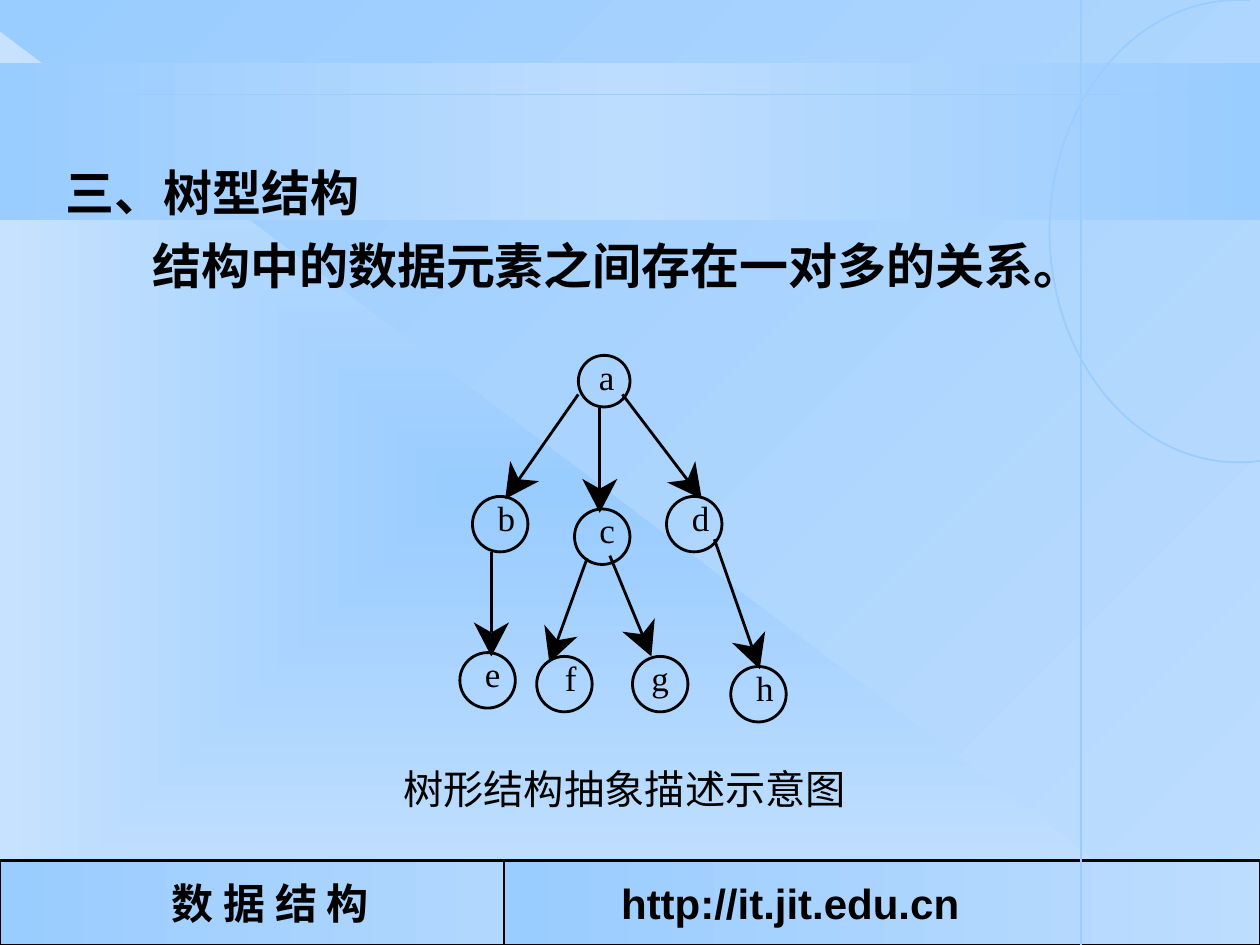
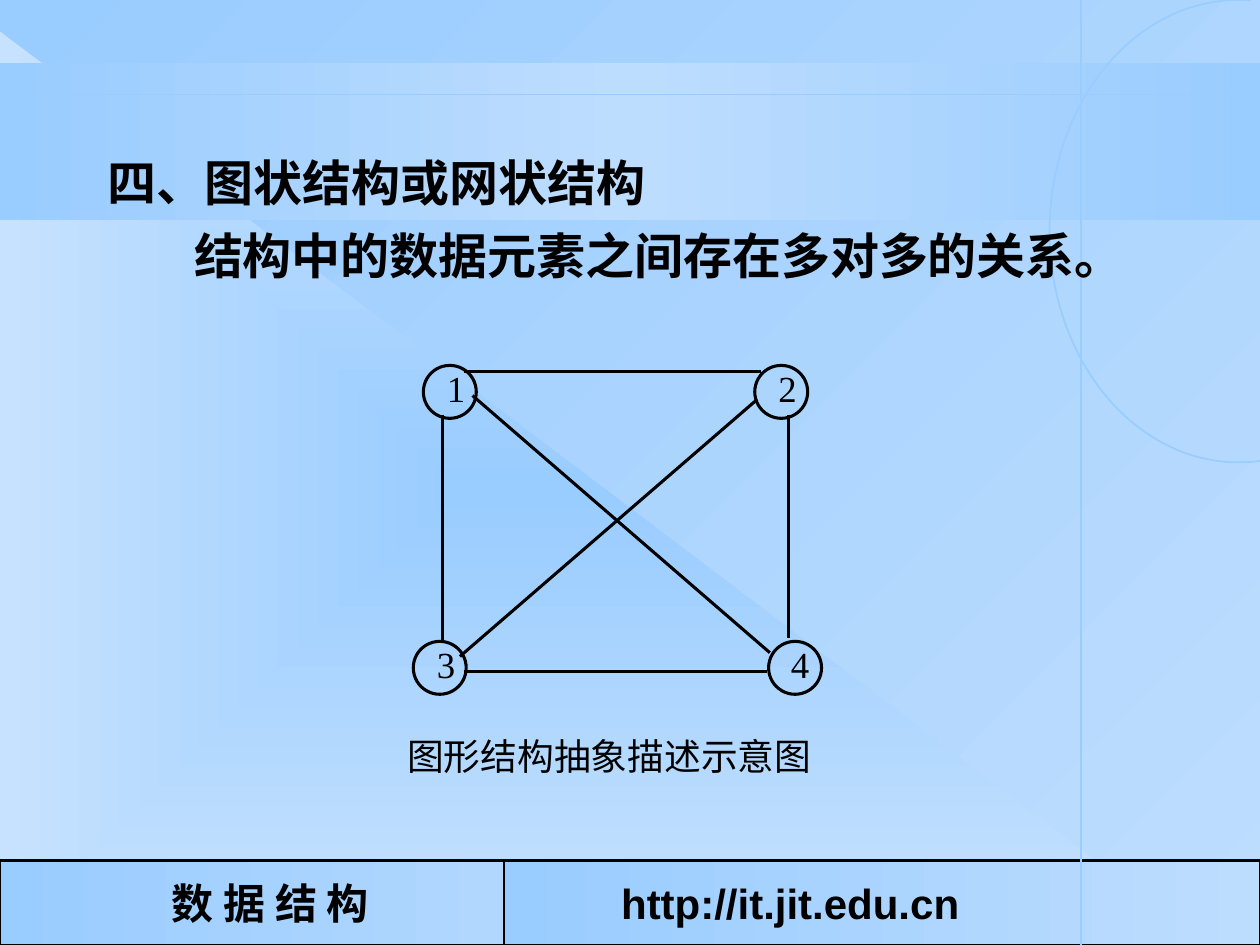
"""Builds two data structure slides: the tree and the graph."""
from dataclasses import dataclass
from math import hypot

from lxml.etree import SubElement
from pptx import Presentation
from pptx.dml.color import RGBColor
from pptx.enum.shapes import MSO_CONNECTOR, MSO_SHAPE
from pptx.enum.text import MSO_ANCHOR, MSO_AUTO_SIZE, PP_ALIGN
from pptx.oxml import parse_xml
from pptx.oxml.ns import nsdecls, qn
from pptx.util import Inches, Pt


@dataclass(frozen=True)
class Theme:
    ink: str = "000000"
    sky: str = "99CCFF"
    pale: str = "BDDDFE"
    mist: str = "B3D8FE"
    glow: str = "C7E2FE"
    serif: str = "Times New Roman"
    sans: str = "Arial"
    chinese: str = "Noto Sans CJK SC"
    heading: float = 28
    footer: float = 24


theme = Theme()
ACROSS = '<a:lin ang="0" scaled="0"/>'
DIAGONAL = '<a:lin ang="2700000" scaled="0"/>'
FROM_CENTRE = '<a:path path="rect"><a:fillToRect l="50000" t="50000" r="50000" b="50000"/></a:path>'
HEAD_LENGTH, HEAD_HALF_WIDTH, HEAD_NOTCH = 0.27, 0.14, 0.19


def write(shape, text, size, font=theme.serif, bold=False, align=PP_ALIGN.CENTER,
          margin=0.0, indent=0.0, wrap=False):
    frame = shape.text_frame
    frame.auto_size = MSO_AUTO_SIZE.NONE
    frame.word_wrap = wrap
    frame.vertical_anchor = MSO_ANCHOR.MIDDLE
    frame.margin_left = frame.margin_right = Inches(margin)
    frame.margin_top = frame.margin_bottom = 0
    paragraph = frame.paragraphs[0]
    paragraph.alignment = align
    paragraph.space_before = Pt(0)
    properties = paragraph._p.get_or_add_pPr()
    properties.set("marL", "0")
    properties.set("indent", str(Inches(indent)))
    SubElement(properties, qn("a:buNone"))
    run = paragraph.add_run()
    run.text = text
    run.font.size, run.font.bold, run.font.name = Pt(size), bold, font
    run.font.color.rgb = RGBColor.from_string(theme.ink)


def draw_line(shapes, start, end, colour, width):
    line = shapes.add_connector(MSO_CONNECTOR.STRAIGHT, *map(Inches, (*start, *end)))
    line.line.color.rgb = RGBColor.from_string(colour)
    line.line.width = Pt(width)
    SubElement(line._element.spPr, qn("a:effectLst"))


prs = Presentation()
prs.slide_width, prs.slide_height = Inches(10), Inches(7.5)
master = prs.slide_master
layout = prs.slide_layouts[1]
for placeholder in list(layout.placeholders)[2:]:
    placeholder.element.getparent().remove(placeholder.element)
slides = [prs.slides.add_slide(layout) for _ in range(2)]
decor = slides[0].shapes
own_count = len(decor)

master.background.fill.gradient()
gradients = [(master.element, (theme.sky, theme.pale), DIAGONAL)]
panels = [
    (MSO_SHAPE.RIGHT_TRIANGLE, (0, 0.25, 9.58, 7.25), (theme.sky, theme.glow), FROM_CENTRE),
    (MSO_SHAPE.RECTANGLE, (0, 0.5, 10, 1.25), (theme.sky, theme.pale, theme.sky), ACROSS),
    (MSO_SHAPE.RECTANGLE, (0, 6.83, 4.29, 0.67), (theme.sky, theme.mist), ACROSS),
    (MSO_SHAPE.RECTANGLE, (4, 6.83, 6, 0.67), (theme.sky, theme.pale), ACROSS),
]
for outline, area, colours, direction in panels:
    panel = decor.add_shape(outline, *map(Inches, area))
    panel.shadow.inherit = False
    panel.fill.gradient()
    panel.line.fill.background()
    gradients.append((panel._element, colours, direction))
for element, colours, direction in gradients:
    stops = "".join(
        f'<a:gs pos="{100000 * i // (len(colours) - 1)}"><a:srgbClr val="{colour}"/></a:gs>'
        for i, colour in enumerate(colours))
    plain = next(element.iter(qn("a:gradFill")))
    plain.getparent().replace(plain, parse_xml(
        f'<a:gradFill {nsdecls("a")} rotWithShape="1"><a:gsLst>{stops}</a:gsLst>{direction}</a:gradFill>'))

course, address = list(decor)[-2:]
for footer in (course, address):
    footer.line.color.rgb = RGBColor.from_string(theme.ink)
    footer.line.width = Pt(1.5)
write(course, "数 据 结 构", theme.footer, bold=True)
write(address, "http://it.jit.edu.cn", theme.footer, font=theme.sans, bold=True,
      align=PP_ALIGN.LEFT, margin=0.93, wrap=True)

draw_line(decor, (0, 0.75), (10, 0.75), theme.sky, 1)
draw_line(decor, (8.58, 0), (8.58, 7.5), theme.sky, 1.5)
arc = decor.add_shape(MSO_SHAPE.ARC, *map(Inches, (8.33, 0, 3, 3.67)))
arc.shadow.inherit = False
arc.adjustments[0], arc.adjustments[1] = 80 * 0.6, 273 * 0.6
arc.fill.background()
arc.line.color.rgb = RGBColor.from_string(theme.sky)
arc.line.width = Pt(1)
for position, part in enumerate(list(decor)[own_count:], start=2):
    layout.shapes._spTree.insert(position, part._element)

figures = [
    dict(
        title="三、树型结构", sentence="结构中的数据元素之间存在一对多的关系。",
        corner=(0.42, 1.23), width=9.17, caption="树形结构抽象描述示意图",
        caption_area=(3.2, 6.07, 3.52, 0.38), caption_size=23,
        label_size=20, label_height=0.33, stroke=1.62, directed=True,
        nodes=[("a", 4.59, 2.82, 0.41, 0.02), ("b", 3.75, 3.94, 0.44, 0.05),
               ("c", 4.56, 4.04, 0.44, 0.04), ("d", 5.29, 3.94, 0.44, 0.05),
               ("e", 3.65, 5.18, 0.44, 0.04), ("f", 4.26, 5.21, 0.44, 0.05),
               ("g", 5.02, 5.21, 0.44, 0), ("h", 5.8, 5.29, 0.44, 0.05)],
        edges=[((4.59, 3.13), (4.01, 3.96)), ((4.76, 3.24), (4.76, 4.07)),
               ((4.94, 3.13), (5.57, 3.96)), ((3.9, 4.38), (3.9, 5.21)),
               ((4.66, 4.43), (4.36, 5.26)), ((4.84, 4.41), (5.17, 5.21)),
               ((5.67, 4.28), (6.03, 5.31))],
    ),
    dict(
        title="四、图状结构或网状结构", sentence="结构中的数据元素之间存在多对多的关系。",
        corner=(0.75, 1.15), width=8.33, caption="图形结构抽象描述示意图",
        caption_area=(3.23, 5.82, 3.21, 0.35), caption_size=21,
        label_size=21, label_height=0.35, stroke=1.75, directed=False,
        nodes=[("1", 3.36, 2.9, 0.42, 0.05), ("2", 5.99, 2.9, 0.42, 0.05),
               ("3", 3.28, 5.09, 0.42, 0.05), ("4", 6.1, 5.09, 0.42, 0.04)],
        edges=[((3.68, 2.95), (6.04, 2.95)), ((3.51, 3.29), (3.51, 5.09)),
               ((6.26, 3.29), (6.26, 5.06)), ((3.68, 5.33), (6.09, 5.33)),
               ((3.75, 3.14), (6.11, 5.18)), ((6.01, 3.17), (3.65, 5.21))],
    ),
]

for slide, figure in zip(slides, figures):
    shapes = slide.shapes
    left, top = figure["corner"]
    for row, (holder, text) in enumerate(zip(slide.placeholders, (figure["title"], figure["sentence"]))):
        holder.left, holder.top = Inches(left), Inches(top + row * 0.58)
        holder.width, holder.height = Inches(figure["width"]), Inches(0.58)
        write(holder, text, theme.heading, bold=True, align=PP_ALIGN.LEFT,
              margin=0.1, indent=row * 0.69, wrap=True)

    for start, tip in figure["edges"]:
        end = tip
        if figure["directed"]:
            length = hypot(tip[0] - start[0], tip[1] - start[1])
            dx, dy = (tip[0] - start[0]) / length, (tip[1] - start[1]) / length
            end = (tip[0] - HEAD_NOTCH * dx, tip[1] - HEAD_NOTCH * dy)
            base_x, base_y = tip[0] - HEAD_LENGTH * dx, tip[1] - HEAD_LENGTH * dy
            wings = [(base_x - side * dy, base_y + side * dx)
                     for side in (HEAD_HALF_WIDTH, -HEAD_HALF_WIDTH)]
            corners = [(Inches(x), Inches(y)) for x, y in (wings[0], tip, wings[1], end)]
            builder = shapes.build_freeform(*corners[0])
            builder.add_line_segments(corners[1:], close=True)
            head = builder.convert_to_shape()
            head.shadow.inherit = False
            head.fill.solid()
            head.fill.fore_color.rgb = RGBColor.from_string(theme.ink)
            head.line.fill.background()
        draw_line(shapes, start, end, theme.ink, figure["stroke"])

    for name, x, y, size, shift in figure["nodes"]:
        label = shapes.add_textbox(Inches(x + shift), Inches(y), Inches(size), Inches(figure["label_height"]))
        write(label, name, figure["label_size"])
        node = shapes.add_shape(MSO_SHAPE.OVAL, Inches(x), Inches(y), Inches(size), Inches(size))
        node.shadow.inherit = False
        node.fill.background()
        node.line.color.rgb = RGBColor.from_string(theme.ink)
        node.line.width = Pt(figure["stroke"])

    caption = shapes.add_textbox(*map(Inches, figure["caption_area"]))
    write(caption, figure["caption"], figure["caption_size"], font=theme.chinese)

prs.save("out.pptx")
